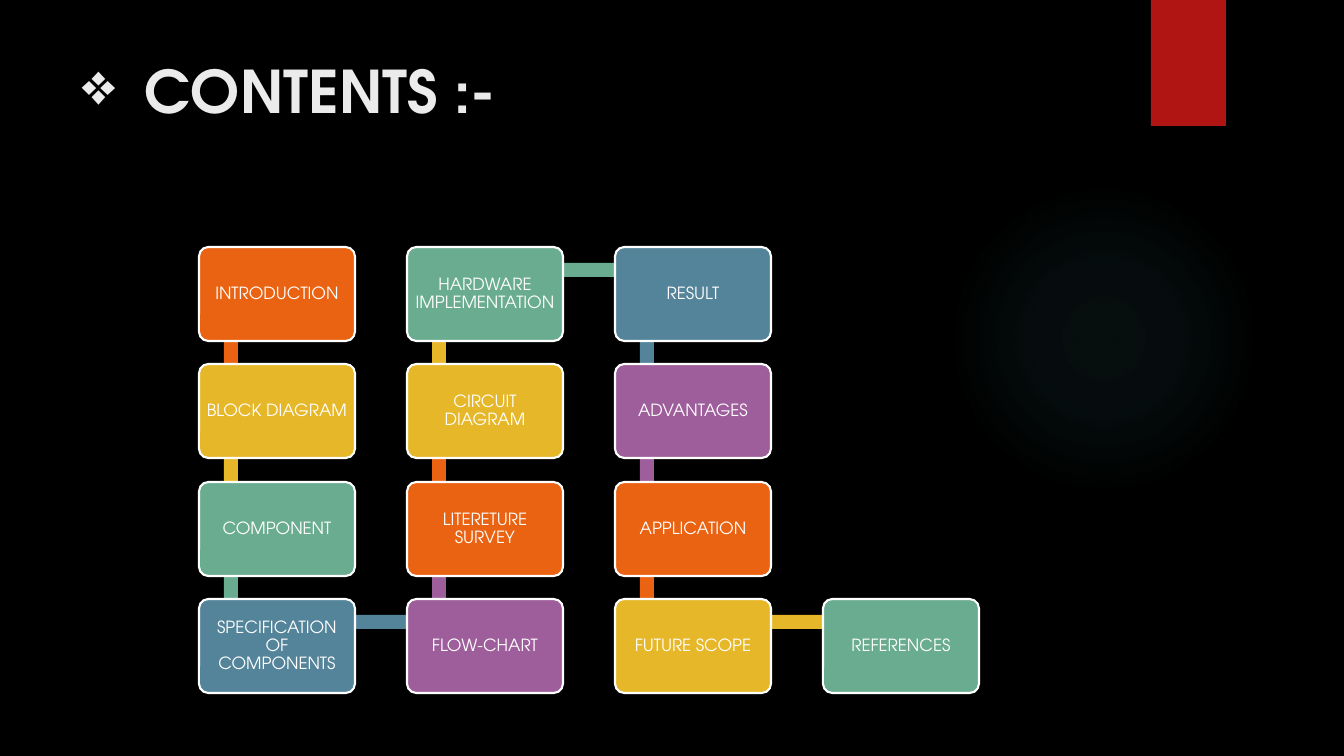
"""Build the contents slide: a snaking chain of thirteen topic boxes."""
from pptx import Presentation
from pptx.dml.color import RGBColor
from pptx.enum.shapes import MSO_SHAPE
from pptx.enum.text import MSO_ANCHOR, PP_ALIGN
from pptx.oxml import parse_xml
from pptx.oxml.ns import nsdecls
from pptx.util import Pt

THEME = {
    "font": "TeX Gyre Adventor", "title_size": 42, "box_size": 12,
    "bg": "000000", "title": "EBEBEB", "white": "FFFFFF",
    "ribbon": "B01513", "glow": "50B9C1",
    "cycle": ["EA6312", "E6B729", "6AAC90", "54849A", "9E5E9B"],
}
PX = 914400 / 100.8


def add_block(kind, x, y, w, h, color=None):
    sp = s.shapes.add_shape(kind, *(round(v * PX) for v in (x, y, w, h)))
    sp.shadow.inherit = False
    sp.line.fill.background()
    if color:
        sp.fill.solid()
        sp.fill.fore_color.rgb = RGBColor.from_string(color)
    return sp


def set_text(p, text, size, color, bold=False):
    r = p.add_run()
    r.text = text
    r.font.name = THEME["font"]
    r.font.size = Pt(size)
    r.font.bold = bold
    r.font.color.rgb = RGBColor.from_string(color)


prs = Presentation()
prs.slide_width, prs.slide_height = round(1344 * PX), round(756 * PX)
s = prs.slides.add_slide(prs.slide_layouts[6])
s.background.fill.solid()
s.background.fill.fore_color.rgb = RGBColor.from_string(THEME["bg"])

glow = add_block(MSO_SHAPE.OVAL, 949, 184, 310, 310)
stops = "".join(
    f'<a:gs pos="{pos * 1000}"><a:srgbClr val="{THEME["glow"]}">'
    f'<a:alpha val="{alpha * 1000}"/></a:srgbClr></a:gs>'
    for pos, alpha in [(0, 7), (36, 6), (69, 0), (100, 0)])
glow.element.spPr.insert(2, parse_xml(
    f'<a:gradFill {nsdecls("a")}><a:gsLst>{stops}</a:gsLst><a:path path="circle">'
    '<a:fillToRect l="50000" t="50000" r="50000" b="50000"/></a:path></a:gradFill>'))

add_block(MSO_SHAPE.RECTANGLE, 1151, 0, 75, 126, THEME["ribbon"])

title = s.shapes.add_textbox(*(round(v * PX) for v in (72, 50, 1037, 154)))
tf = title.text_frame
tf.word_wrap = True
tf.vertical_anchor = MSO_ANCHOR.TOP
p = tf.paragraphs[0]
pPr = p._p.get_or_add_pPr()
pPr.set("marL", str(round(63 * PX)))
pPr.set("indent", str(-round(63 * PX)))
pPr.append(parse_xml(f'<a:buChar {nsdecls("a")} char="❖"/>'))
set_text(p, "CONTENTS :-", THEME["title_size"], THEME["title"], bold=True)

topics = [
    "INTRODUCTION", "BLOCK DIAGRAM", "COMPONENT", "SPECIFICATION OF COMPONENTS",
    "FLOW-CHART", "LITERETURE SURVEY", "CIRCUIT DIAGRAM", "HARDWARE IMPLEMENTATION",
    "RESULT", "ADVANTAGES", "APPLICATION", "FUTURE SCOPE", "REFERENCES",
]
ROWS, BOX_W, BOX_H, COL_STEP, ROW_STEP, BAR = 4, 156, 94, 208, 352 / 3, 14
places = []
for i in range(len(topics)):
    col, row = divmod(i, ROWS)
    if col % 2:
        row = ROWS - 1 - row
    places.append((199 + COL_STEP * col, round(247 + ROW_STEP * row)))

for i, (topic, (x, y)) in enumerate(zip(topics, places)):
    color = THEME["cycle"][i % len(THEME["cycle"])]
    if i + 1 < len(topics):
        next_x, next_y = places[i + 1]
        if next_x == x:
            bar = (x + 25, min(y, next_y) + 23, BAR, abs(next_y - y))
        else:
            bar = (x + 32, y + 16, next_x - x, BAR)
        add_block(MSO_SHAPE.RECTANGLE, *bar, color)
    box = add_block(MSO_SHAPE.ROUNDED_RECTANGLE, x, y, BOX_W, BOX_H, color)
    box.adjustments[0] = 0.1
    box.line.color.rgb = RGBColor.from_string(THEME["white"])
    box.line.width = Pt(1.5)
    tf = box.text_frame
    tf.word_wrap = True
    tf.vertical_anchor = MSO_ANCHOR.MIDDLE
    tf.margin_left = tf.margin_right = round(4 * PX)
    tf.margin_top = tf.margin_bottom = round(5 * PX)
    p = tf.paragraphs[0]
    p.alignment = PP_ALIGN.CENTER
    p.line_spacing = 0.9
    set_text(p, topic, THEME["box_size"], THEME["white"])

prs.save("out.pptx")
